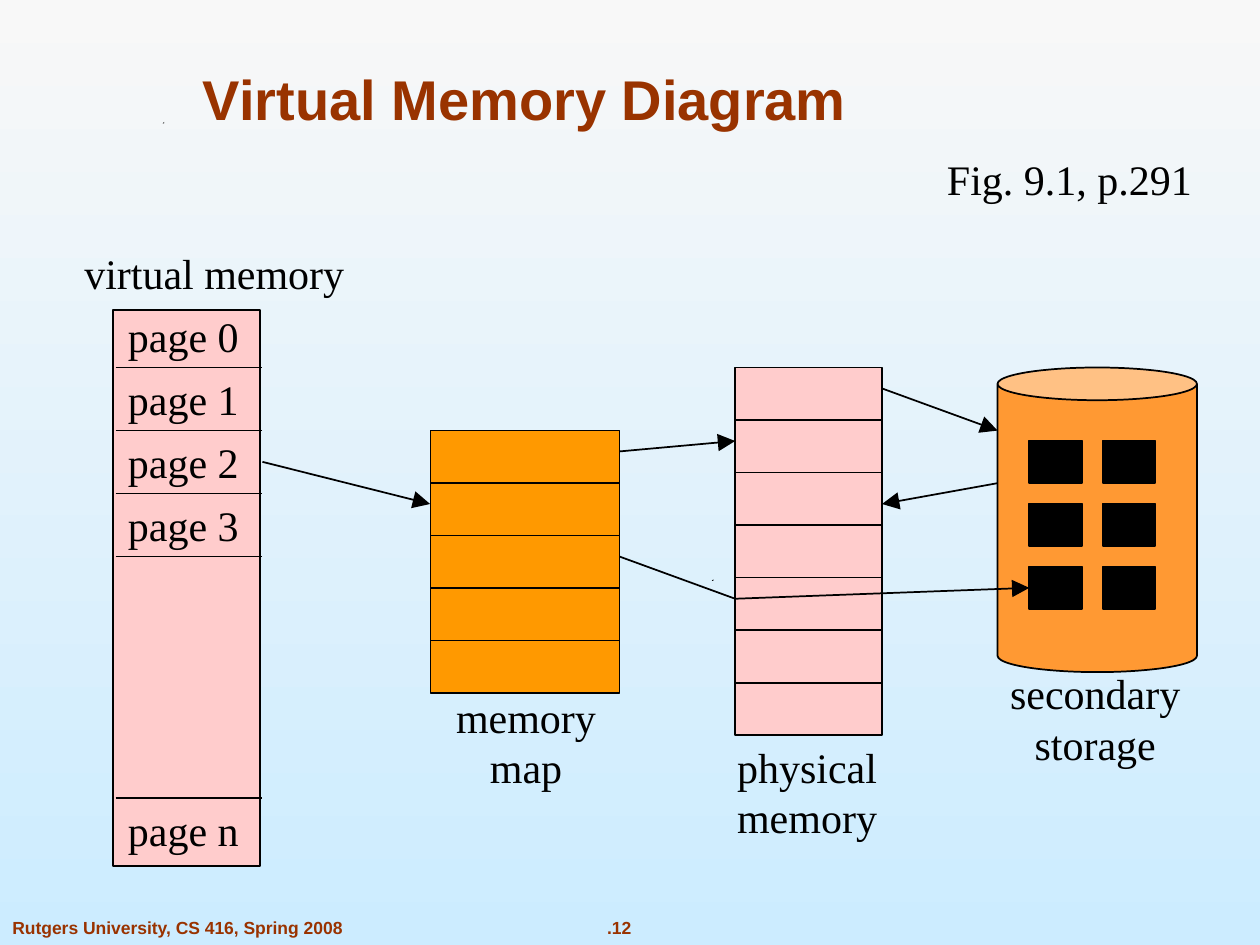
from dataclasses import dataclass

from lxml.etree import SubElement
from pptx import Presentation
from pptx.dml.color import RGBColor as Rgb
from pptx.enum.shapes import MSO_CONNECTOR as Link, MSO_SHAPE as Shape
from pptx.enum.text import MSO_ANCHOR as Anchor, MSO_AUTO_SIZE as Fit, PP_ALIGN as Align
from pptx.oxml.ns import qn
from pptx.util import Cm, Pt


@dataclass(frozen=True)
class Theme:
    sky_top: Rgb = Rgb(0xF8, 0xF8, 0xF8)
    sky_bottom: Rgb = Rgb(0xCC, 0xEC, 0xFF)
    rust: Rgb = Rgb(0x99, 0x33, 0x00)
    ink: Rgb = Rgb(0, 0, 0)
    pink: Rgb = Rgb(0xFF, 0xCC, 0xCC)
    amber: Rgb = Rgb(0xFF, 0x99, 0x00)
    orange: Rgb = Rgb(0xFF, 0x99, 0x33)
    heading: str = "Arial"
    body: str = "Times New Roman"
    title_size: Pt = Pt(32)
    label_size: Pt = Pt(24)
    footer_size: Pt = Pt(10)
    stroke: Pt = Pt(1)


theme = Theme()


def write(box, text, *, size=theme.label_size, font=theme.body,
          color=theme.ink, bold=False, align=Align.LEFT, wrap=False):
    frame = box.text_frame
    frame.word_wrap = wrap
    frame.auto_size = Fit.NONE
    frame.vertical_anchor = Anchor.TOP
    para = frame.paragraphs[0]
    para.text = text
    para.alignment = align
    for span in para.runs:
        span.font.name = font
        span.font.size = size
        span.font.bold = bold
        span.font.color.rgb = color


def draw_line(start, end, arrow=False):
    line = page.shapes.add_connector(Link.STRAIGHT, *map(Cm, start + end))
    line.line.color.rgb = theme.ink
    line.line.width = theme.stroke
    if arrow:
        SubElement(line.line._get_or_add_ln(), qn("a:tailEnd"),
                   type="triangle", w="lg", len="lg")
    SubElement(line._element.spPr, qn("a:effectLst"))
    return line


deck = Presentation()
deck.slide_width, deck.slide_height = Cm(25.4), Cm(19.05)
page = deck.slides.add_slide(deck.slide_layouts[5])

sky = page.background.fill
sky.gradient()
sky.gradient_angle = 270
for stop, color in zip(sky.gradient_stops, (theme.sky_top, theme.sky_bottom)):
    stop.color.rgb = color

for left, top in [(14.35, 11.68), (3.28, 2.46)]:
    outline = page.shapes.build_freeform(Cm(left), Cm(top + 0.03))
    outline.add_line_segments([(Cm(left + 0.03), Cm(top)),
                               (Cm(left + 0.03), Cm(top + 0.03))])
    speck = outline.convert_to_shape()
    speck.shadow.inherit = False
    speck.fill.solid()
    speck.fill.fore_color.rgb = theme.ink
    speck.line.fill.background()

title = page.shapes.title
title.left, title.top, title.width, title.height = Cm(2.33), Cm(1.17), Cm(16.5), Cm(3.07)
write(title, "Virtual Memory Diagram", size=theme.title_size, font=theme.heading,
      color=theme.rust, bold=True, align=Align.CENTER, wrap=True)

footers = [
    ("Rutgers University, CS 416, Spring 2008", 0, 7.19, Align.LEFT),
    (".12", 11.33, 2.31, Align.CENTER),
]
for text, left, width, align in footers:
    box = page.shapes.add_textbox(Cm(left), Cm(18.37), Cm(width), Cm(0.68))
    write(box, text, size=theme.footer_size, font=theme.heading,
          color=theme.rust, bold=True, align=align)

row_step = 1.27
parts = [
    (Shape.RECTANGLE, 2.28, 6.25, 2.96, 11.21, theme.pink, 1),
    (Shape.RECTANGLE, 8.68, 8.68, 3.81, 5.29, theme.amber, 5),
    (Shape.RECTANGLE, 14.82, 7.41, 2.96, 7.41, theme.pink, 7),
    (Shape.CAN, 20.11, 7.41, 4.02, 6.14, theme.orange, 1),
]
for row in range(3):
    for column in (1, 0):
        parts.append((Shape.RECTANGLE, 20.75 + 1.48 * column,
                      8.88 + row_step * row, 1.06, 0.86, theme.ink, 1))

for kind, left, top, width, height, color, rows in parts:
    shape = page.shapes.add_shape(kind, Cm(left), Cm(top), Cm(width), Cm(height))
    shape.shadow.inherit = False
    shape.fill.solid()
    shape.fill.fore_color.rgb = color
    shape.line.color.rgb = theme.ink
    shape.line.width = theme.stroke
    if kind == Shape.CAN:
        shape.adjustments[0] = 0.164
    for row in range(1, rows):
        level = top + height * row / rows
        draw_line((left, level), (left + width, level))
target_block = shape

page_left, page_top, last_top = 2.33, 6.14, 16.09
for level in [page_top + row_step * row for row in range(1, 5)] + [last_top]:
    draw_line((page_left, level), (5.29, level))

labels = [(f"page {row}", page_left, page_top + row_step * row, 2.74, 1.27, Align.LEFT)
          for row in range(4)]
labels += [
    ("page n", page_left, last_top, 2.74, 1.27, Align.LEFT),
    ("Fig. 9.1, p.291", 18.84, 2.97, 5.44, 1.27, Align.LEFT),
    ("virtual memory", 1.45, 4.87, 5.74, 1.27, Align.LEFT),
    ("memory\vmap", 8.94, 13.81, 3.33, 2.29, Align.CENTER),
    ("physical\vmemory", 14.61, 14.82, 3.33, 2.29, Align.LEFT),
    ("secondary\vstorage", 20.11, 13.34, 3.94, 2.29, Align.CENTER),
]
for text, left, top, width, height, align in labels:
    box = page.shapes.add_textbox(Cm(left), Cm(top), Cm(width), Cm(height))
    write(box, text, align=align)

draw_line((5.29, 9.31), (8.67, 10.16), arrow=True)
draw_line((12.49, 9.1), (14.82, 8.89), arrow=True)
draw_line((12.49, 11.22), (14.82, 12.07))
disk_read = draw_line((14.82, 12.07), (20.75, 11.85), arrow=True)
disk_read.end_connect(target_block, 1)
draw_line((17.78, 7.83), (20.11, 8.68), arrow=True)
draw_line((20.11, 9.74), (17.78, 10.16), arrow=True)

deck.save("out.pptx")
